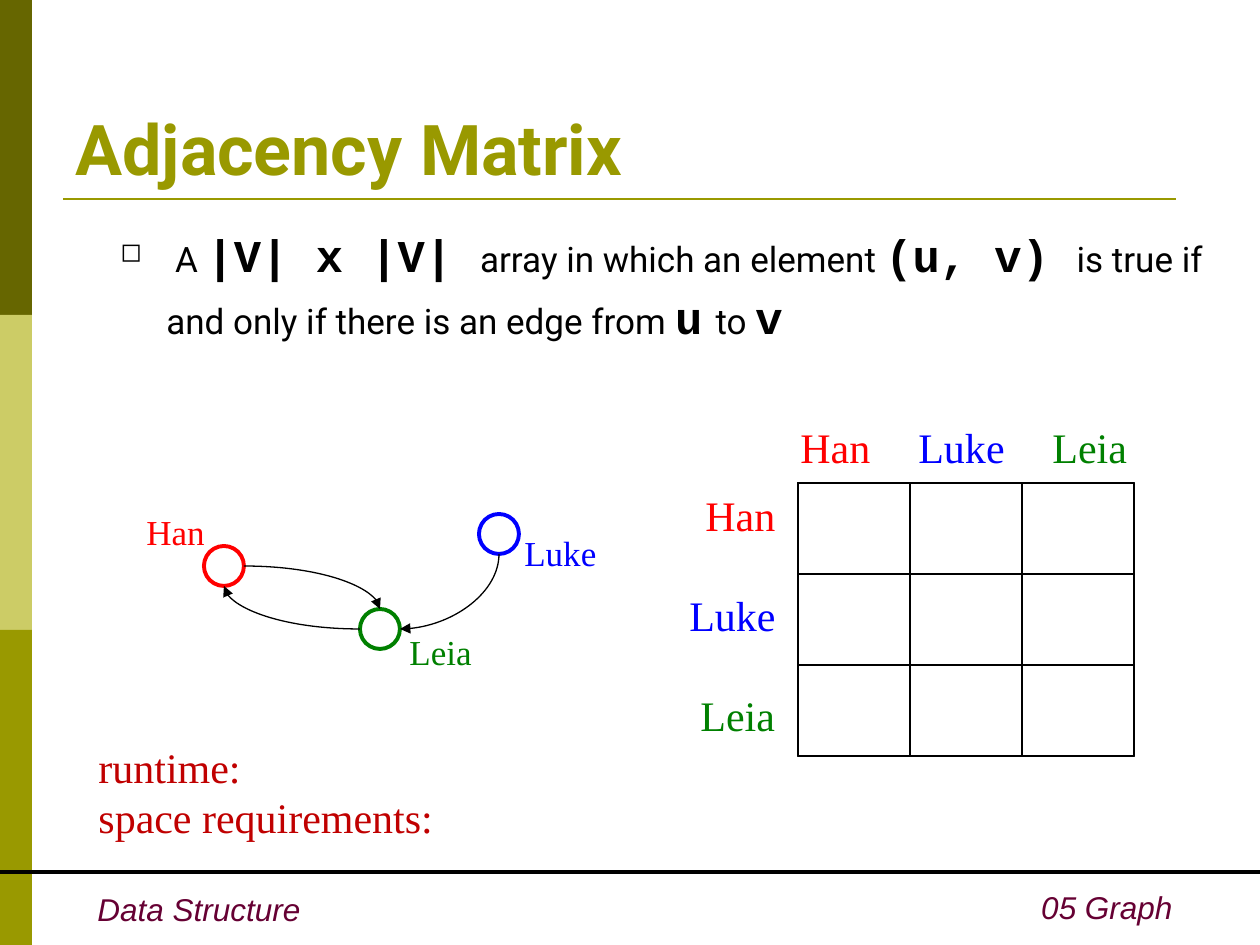
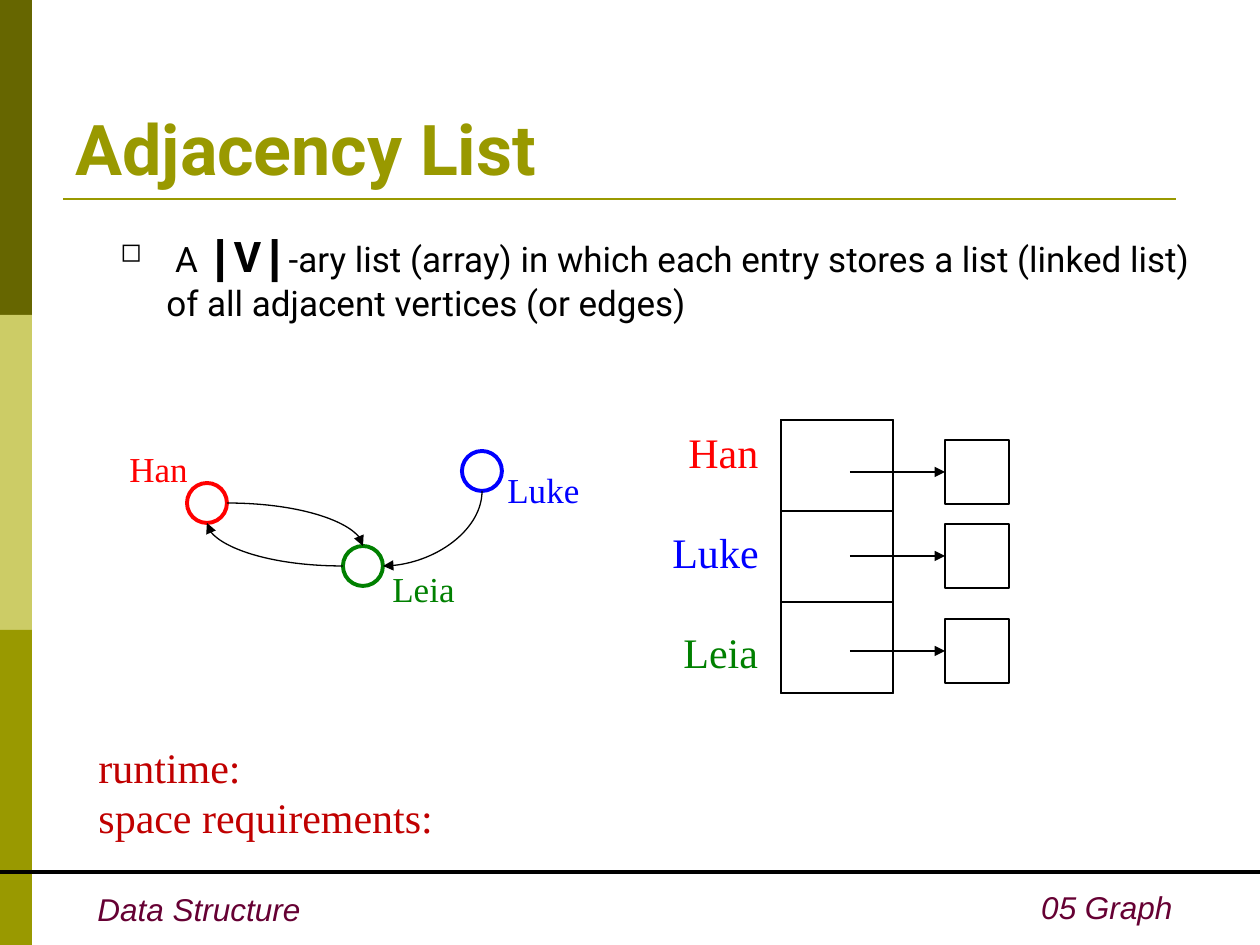
from lxml.etree import SubElement
from pptx import Presentation
from pptx.dml.color import RGBColor
from pptx.enum.shapes import MSO_CONNECTOR, MSO_SHAPE
from pptx.enum.text import MSO_ANCHOR, MSO_AUTO_SIZE, PP_ALIGN
from pptx.oxml.ns import qn
from pptx.util import Pt

EMU_PER_PX = 914400 / 126

DARK_OLIVE = RGBColor(0x66, 0x66, 0x00)
LIGHT_OLIVE = RGBColor(0xCC, 0xCC, 0x66)
OLIVE = RGBColor(0x99, 0x99, 0x00)
PLUM = RGBColor(0x66, 0x00, 0x33)
CRIMSON = RGBColor(0xC0, 0x00, 0x00)
RED = RGBColor(0xFF, 0x00, 0x00)
GREEN = RGBColor(0x00, 0x80, 0x00)
BLUE = RGBColor(0x00, 0x00, 0xFF)
BLACK = RGBColor(0x00, 0x00, 0x00)
WHITE = RGBColor(0xFF, 0xFF, 0xFF)

HEADING_FONT = "Roboto"
CODE_FONT = "Courier New"
LABEL_FONT = "Times New Roman"
FOOTER_FONT = "Arial"

VERTEX_COLORS = {"Han": RED, "Luke": BLUE, "Leia": GREEN}
ROW_LABEL_WIDTHS = {"Han": 99, "Luke": 115, "Leia": 104}
COLUMN_LABEL_LEFTS = {"Han": 788, "Luke": 906, "Leia": 1040}

# Vertex: circle offset, label offset, label width; measured from Han's circle
GRAPH_LAYOUT = {
    "Han": ((0, 0), (-70, -42), 88),
    "Leia": ((156, 63), (193, 78), 92),
    "Luke": ((275, -32), (308, -21), 102),
}
CIRCLE = 40
ELLIPSE_TOP, ELLIPSE_LEFT, ELLIPSE_BOTTOM, ELLIPSE_RIGHT = 0, 2, 4, 6

CELL_WIDTH, CELL_HEIGHT = 112, 91
ROW_LABEL_STEP = 100
ROW_LABEL_GAP = 6
NODE = 64


def px(length):
    return round(length * EMU_PER_PX)


def add_box(shapes, left, top, width, height, fill=None, line=BLACK,
            weight=0.75, kind=MSO_SHAPE.RECTANGLE):
    shape = shapes.add_shape(kind, px(left), px(top), px(width), px(height))
    shape.shadow.inherit = False
    if fill is None:
        shape.fill.background()
    else:
        shape.fill.solid()
        shape.fill.fore_color.rgb = fill
    if line is None:
        shape.line.fill.background()
    else:
        shape.line.color.rgb = line
        shape.line.width = Pt(weight)
    return shape


def add_line(shapes, start, end, color=BLACK, weight=0.75, arrow=False,
             kind=MSO_CONNECTOR.STRAIGHT):
    line = shapes.add_connector(kind, *(px(value) for value in (*start, *end)))
    line.line.color.rgb = color
    line.line.width = Pt(weight)
    properties = line._element.spPr
    if arrow:
        SubElement(properties.find(qn("a:ln")), qn("a:tailEnd"), type="triangle")
    SubElement(properties, qn("a:effectLst"))
    return line


def add_run(paragraph, text, font, size, color, bold=False, italic=False):
    run = paragraph.add_run()
    run.text = text
    run.font.name = font
    run.font.size = Pt(size)
    run.font.color.rgb = color
    run.font.bold = bold
    run.font.italic = italic


def add_text_box(shapes, left, top, width, height, wrap=False):
    box = shapes.add_textbox(px(left), px(top), px(width), px(height))
    frame = box.text_frame
    frame.word_wrap = wrap
    frame.auto_size = MSO_AUTO_SIZE.NONE
    return frame


def add_vertex_label(shapes, name, left, top, width, size):
    frame = add_text_box(shapes, left, top, width, 55 if size == 20 else 63)
    add_run(frame.paragraphs[0], name, LABEL_FONT, size, VERTEX_COLORS[name])


def add_curve(shapes, from_circle, from_site, to_circle, to_site, start, end):
    """Quarter curve that leaves a side horizontally, or a bottom vertically."""
    vertical_first = from_site == ELLIPSE_BOTTOM
    if vertical_first:
        # The stored box is the visible one turned back by 90 degrees.
        (x1, y1), (x2, y2) = start, end
        middle_x, middle_y = (x1 + x2) / 2, (y1 + y2) / 2
        half_width, half_height = abs(y2 - y1) / 2, abs(x2 - x1) / 2
        start = middle_x - half_width, middle_y - half_height
        end = middle_x + half_width, middle_y + half_height
    curve = add_line(shapes, start, end, arrow=True, kind=MSO_CONNECTOR.CURVE)
    element = curve._element
    element.spPr.find(qn("a:prstGeom")).set("prst", "curvedConnector2")
    if vertical_first:
        element.spPr.find(qn("a:xfrm")).set("rot", "5400000")
    links = element.find(f"{qn('p:nvCxnSpPr')}/{qn('p:cNvCxnSpPr')}")
    for tag, circle, site in (("a:stCxn", from_circle, from_site),
                              ("a:endCxn", to_circle, to_site)):
        SubElement(links, qn(tag), id=str(circle.shape_id), idx=str(site))


def add_graph(slide, left, top):
    """Directed graph; left and top place Han's circle."""
    shapes = slide.shapes.add_group_shape().shapes
    circles = {}
    for name, ((x, y), (label_x, label_y), label_width) in GRAPH_LAYOUT.items():
        circles[name] = add_box(shapes, left + x, top + y, CIRCLE, CIRCLE, WHITE,
                                VERTEX_COLORS[name], 2.25, MSO_SHAPE.OVAL)
        add_vertex_label(shapes, name, left + label_x, top + label_y, label_width, 20)

    def site_point(name, site):
        x, y = GRAPH_LAYOUT[name][0]
        across = {ELLIPSE_LEFT: 0, ELLIPSE_RIGHT: CIRCLE}.get(site, CIRCLE // 2)
        down = {ELLIPSE_TOP: 0, ELLIPSE_BOTTOM: CIRCLE}.get(site, CIRCLE // 2)
        return left + x + across, top + y + down

    for source, source_site, target, target_site in (
            ("Luke", ELLIPSE_BOTTOM, "Leia", ELLIPSE_RIGHT),
            ("Leia", ELLIPSE_LEFT, "Han", ELLIPSE_BOTTOM),
            ("Han", ELLIPSE_RIGHT, "Leia", ELLIPSE_TOP)):
        add_curve(shapes, circles[source], source_site, circles[target], target_site,
                  site_point(source, source_site), site_point(target, target_site))


def add_labelled_grid(slide, left, top, columns):
    """Frame whose outer rows and columns are outlined, with a label per row."""
    shapes = slide.shapes
    rows = len(VERTEX_COLORS)
    width, height = columns * CELL_WIDTH, rows * CELL_HEIGHT
    add_box(shapes, left, top, width, height, WHITE)
    for row in (0, rows - 1):
        add_box(shapes, left, top + row * CELL_HEIGHT, width, CELL_HEIGHT)
    for column in sorted({0, columns - 1}):
        add_box(shapes, left + column * CELL_WIDTH, top, CELL_WIDTH, height)
    for row, name in enumerate(VERTEX_COLORS):
        label_width = ROW_LABEL_WIDTHS[name]
        add_vertex_label(shapes, name, left - ROW_LABEL_GAP - label_width,
                         top + row * ROW_LABEL_STEP, label_width, 24)


def add_list_node(slide, top):
    shapes = slide.shapes.add_group_shape().shapes
    middle = top + NODE // 2
    arrow = add_line(shapes, (850, middle), (945, middle), arrow=True)
    node = add_box(shapes, 945, top, NODE, NODE)
    arrow.end_connect(node, 1)


def add_definition(slide, width, space_before, runs):
    """Bulleted paragraph; runs are (text, font, size)."""
    frame = add_text_box(slide.shapes, 95, 221, width, 189, wrap=True)
    paragraph = frame.paragraphs[0]
    paragraph.space_before = Pt(space_before)
    properties = paragraph._p.get_or_add_pPr()
    properties.set("marL", str(px(59)))
    properties.set("indent", str(px(-46)))
    bullet_color = SubElement(properties, qn("a:buClr"))
    SubElement(bullet_color, qn("a:srgbClr"), val=str(BLACK))
    SubElement(properties, qn("a:buSzPct"), val="75000")
    SubElement(properties, qn("a:buChar"), char="◻")
    for text, font, size in runs:
        add_run(paragraph, text, font, size, BLACK, bold=font == CODE_FONT)


def add_footer(shapes, text, left, top, width, align):
    wrap = align == PP_ALIGN.RIGHT
    paragraph = add_text_box(shapes, left, top, width, 50, wrap).paragraphs[0]
    paragraph.alignment = align
    add_run(paragraph, text, FOOTER_FONT, 18, PLUM, italic=True)


def add_base_slide(presentation, title):
    slide = presentation.slides.add_slide(presentation.slide_layouts[6])
    shapes = slide.shapes
    for index, color in enumerate((DARK_OLIVE, LIGHT_OLIVE, OLIVE)):
        add_box(shapes, 0, index * 315, 32, 315, color, None)
    add_line(shapes, (63, 199), (1176, 199), OLIVE, 1.5)
    add_footer(shapes, "Data Structure", 85, 884, 236, PP_ALIGN.LEFT)
    add_footer(shapes, "05 Graph", 660, 882, 525, PP_ALIGN.RIGHT)
    add_line(shapes, (0, 872), (1260, 872), BLACK, 2.25)

    title_frame = add_text_box(shapes, 63, 39, 1134, 157, wrap=True)
    title_frame.vertical_anchor = MSO_ANCHOR.BOTTOM
    add_run(title_frame.paragraphs[0], title, HEADING_FONT, 40, OLIVE, bold=True)
    return slide


def add_cost_prompts(slide):
    frame = add_text_box(slide.shapes, 86, 735, 370, 113, wrap=True)
    add_run(frame.paragraphs[0], "runtime:", LABEL_FONT, 24, CRIMSON)
    add_run(frame.add_paragraph(), "space requirements:", LABEL_FONT, 24, CRIMSON)


def build_matrix_slide(presentation):
    slide = add_base_slide(presentation, "Adjacency Matrix")
    add_definition(slide, 1124, 16.2, (
        (" A ", HEADING_FONT, 20),
        ("|V| x |V| ", CODE_FONT, 26),
        ("array in which an element ", HEADING_FONT, 20),
        ("(u, v) ", CODE_FONT, 26),
        ("is true if and only if there is an edge from ", HEADING_FONT, 20),
        ("u", CODE_FONT, 26),
        (" ", HEADING_FONT, 30),
        ("to ", HEADING_FONT, 20),
        ("v", CODE_FONT, 26),
    ))
    add_graph(slide, 204, 546)
    add_labelled_grid(slide, 798, 483, columns=3)
    for name, left in COLUMN_LABEL_LEFTS.items():
        add_vertex_label(slide.shapes, name, left, 415, ROW_LABEL_WIDTHS[name], 24)
    add_cost_prompts(slide)


def build_list_slide(presentation):
    slide = add_base_slide(presentation, "Adjacency List")
    add_definition(slide, 1113, 12.5, (
        (" A ", HEADING_FONT, 20),
        ("|V|", CODE_FONT, 26),
        ("-ary list (array) in which each entry stores a list (linked list) "
         "of all adjacent vertices (or edges)", HEADING_FONT, 20),
    ))
    add_graph(slide, 187, 483)
    add_labelled_grid(slide, 781, 420, columns=1)
    add_cost_prompts(slide)
    for top in (440, 524, 619):
        add_list_node(slide, top)


def main():
    presentation = Presentation()
    presentation.slide_width = px(1260)
    presentation.slide_height = px(945)
    build_matrix_slide(presentation)
    build_list_slide(presentation)
    presentation.save("out.pptx")


if __name__ == "__main__":
    main()
